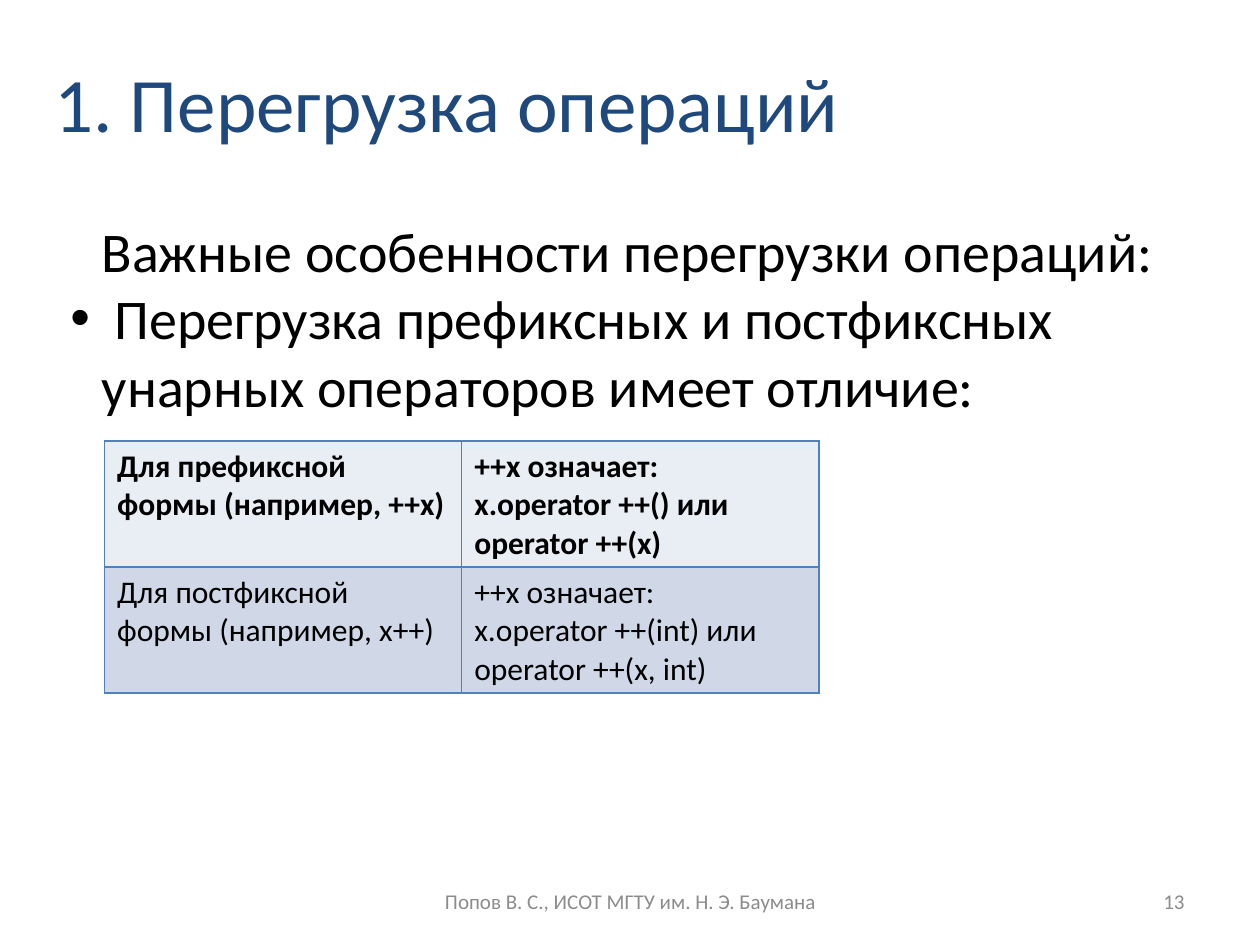
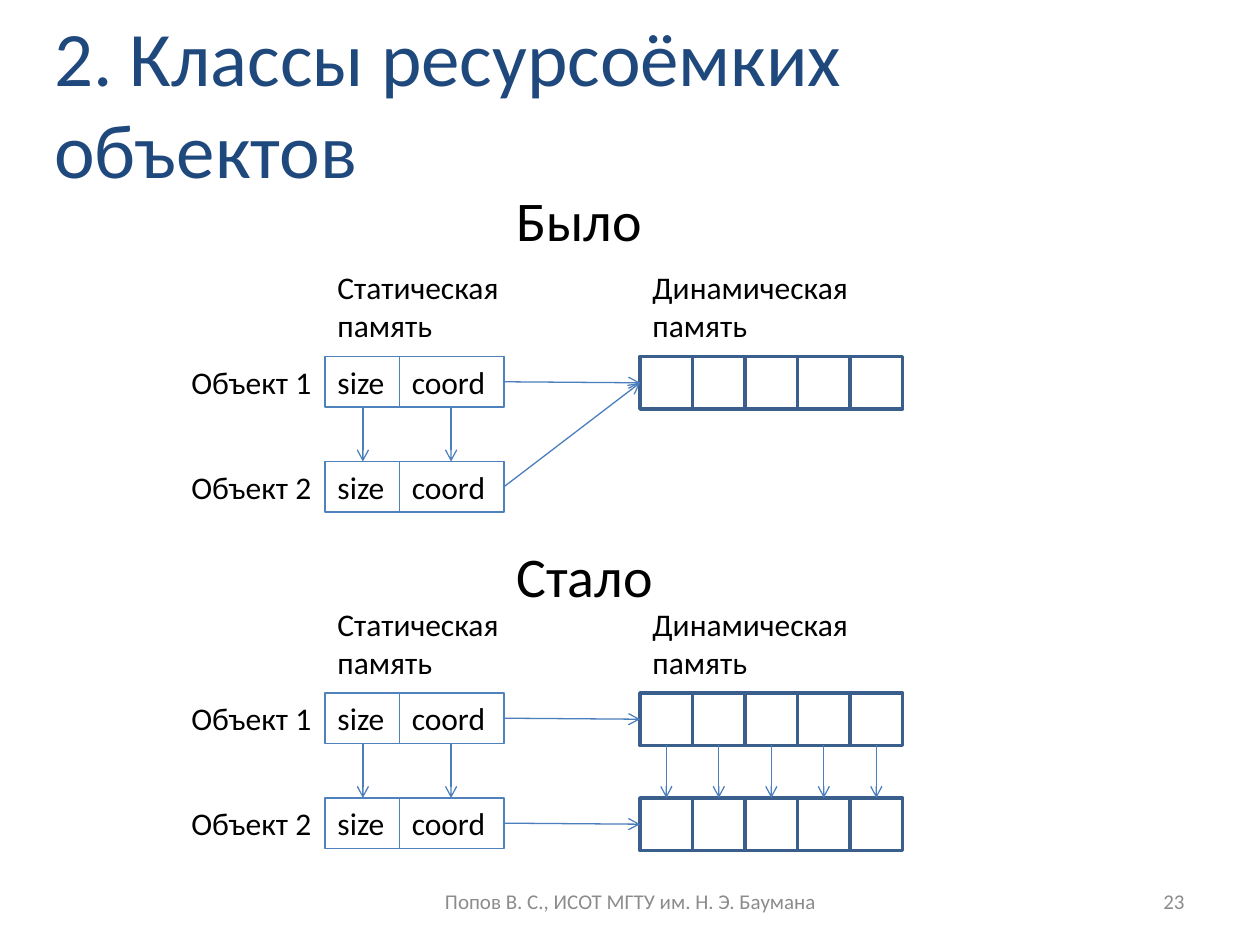
from lxml.etree import SubElement
from pptx import Presentation
from pptx.dml.color import RGBColor
from pptx.enum.shapes import MSO_CONNECTOR, MSO_SHAPE
from pptx.enum.text import MSO_ANCHOR, MSO_AUTO_SIZE, PP_ALIGN
from pptx.oxml.ns import qn
from pptx.util import Inches, Pt

# Shared style
FONT = "Calibri"
BLACK, TITLE_BLUE, FOOTER_GRAY = "000000", "1F497D", "8C8C8C"
BOX_BLUE, CELL_BLUE, ARROW_BLUE = "4F81BD", "3A5F8C", "4B7EBC"
ROW_FILLS = ("E9EDF4", "D0D8E8")
FOOTER = "Попов В. С., ИСОТ МГТУ им. Н. Э. Баумана"

# Memory diagram grid
CELL = 5 / 12
ROW_STEP = 2 * CELL
BOX_HEIGHT = 0.4
LABEL_LEFT, STATIC_LEFT, COORD_LEFT, STATIC_RIGHT = 1.42, 2.58, 3.17, 4
DYNAMIC_LEFT = 5.08
CELL_COUNT = 5


def rgb(color):
    return RGBColor.from_string(color)


def write(text_frame, lines, size=18, color=BLACK, bold=False,
          align=PP_ALIGN.LEFT):
    """Fill a text frame with one paragraph per line."""
    for index, line in enumerate(lines):
        paragraph = (text_frame.add_paragraph() if index
                     else text_frame.paragraphs[0])
        paragraph.alignment = align
        run = paragraph.add_run()
        run.text = line
        formats = {"name": FONT, "size": Pt(size), "bold": bold}
        for name, value in formats.items():
            setattr(run.font, name, value)
        run.font.color.rgb = rgb(color)


def add_text(slide, lines, left, top, width, height,
             anchor=MSO_ANCHOR.TOP, wrap=True, **style):
    box = slide.shapes.add_textbox(
        Inches(left), Inches(top), Inches(width), Inches(height))
    frame = box.text_frame
    frame.word_wrap = wrap
    frame.vertical_anchor = anchor
    write(frame, lines, **style)
    return frame


def add_box(slide, left, top, width, height, line_color, line_width, text=""):
    shape = slide.shapes.add_shape(
        MSO_SHAPE.RECTANGLE,
        Inches(left), Inches(top), Inches(width), Inches(height))
    shape.shadow.inherit = False
    shape.fill.background()
    shape.line.color.rgb = rgb(line_color)
    shape.line.width = Pt(line_width)
    if text:
        shape.text_frame.vertical_anchor = MSO_ANCHOR.TOP
        write(shape.text_frame, [text])


def add_arrow(slide, start, end):
    points = [Inches(value) for value in (*start, *end)]
    arrow = slide.shapes.add_connector(MSO_CONNECTOR.STRAIGHT, *points)
    arrow.line.color.rgb = rgb(ARROW_BLUE)
    arrow.line.width = Pt(0.75)
    SubElement(arrow.line._get_or_add_ln(), qn("a:tailEnd"), type="arrow")
    SubElement(arrow._element.spPr, qn("a:effectLst"))


def add_slide(presentation, title, number):
    """Add a slide with its title, footer and number."""
    slide = presentation.slides.add_slide(presentation.slide_layouts[5])
    placeholder = slide.shapes.title
    position = {"left": 0.33, "top": 0, "width": 8.17, "height": 1.61}
    for name, value in position.items():
        setattr(placeholder, name, Inches(value))
    frame = placeholder.text_frame
    frame.auto_size = MSO_AUTO_SIZE.NONE
    frame.vertical_anchor = MSO_ANCHOR.MIDDLE
    write(frame, [title], size=44, color=TITLE_BLUE)

    small = {"size": 12, "color": FOOTER_GRAY, "anchor": MSO_ANCHOR.MIDDLE}
    add_text(slide, [str(number)], 7.17, 6.95, 2.33, 0.4,
             align=PP_ALIGN.RIGHT, **small)
    add_text(slide, [FOOTER], 3.42, 6.95, 3.17, 0.4,
             align=PP_ALIGN.CENTER, **small)
    return slide


def indent(paragraph, bullet=False):
    """Set the left margin, with a hanging bullet if wanted."""
    properties = paragraph._p.get_or_add_pPr()
    properties.set("marL", str(Inches(0.38)))
    properties.set("indent", str(Inches(-0.25) if bullet else 0))
    if bullet:
        SubElement(properties, qn("a:buFont"), typeface="Arial")
        SubElement(properties, qn("a:buChar"), char="•")


def add_borders(cell):
    properties = cell._tc.get_or_add_tcPr()
    for side in ("lnL", "lnR", "lnT", "lnB"):
        line = SubElement(properties, qn(f"a:{side}"), w=str(Pt(1)))
        fill = SubElement(line, qn("a:solidFill"))
        SubElement(fill, qn("a:srgbClr"), val=BOX_BLUE)


def add_table(slide, rows, left, top, width, height):
    table = slide.shapes.add_table(
        len(rows), len(rows[0]),
        Inches(left), Inches(top), Inches(width), Inches(height)).table
    for row_index, row in enumerate(rows):
        for column_index, lines in enumerate(row):
            cell = table.cell(row_index, column_index)
            add_borders(cell)
            cell.fill.solid()
            cell.fill.fore_color.rgb = rgb(ROW_FILLS[row_index % 2])
            write(cell.text_frame, lines, bold=row_index == 0)


def add_object(slide, number, top):
    """Draw one object's label and its two static fields."""
    add_text(slide, [f"Объект {number}"], LABEL_LEFT, top, 1.17, BOX_HEIGHT)
    fields = (("size", STATIC_LEFT, COORD_LEFT),
              ("coord", COORD_LEFT, STATIC_RIGHT))
    for name, left, right in fields:
        add_box(slide, left, top, right - left, BOX_HEIGHT, BOX_BLUE, 0.75,
                name)


def add_array(slide, top):
    for index in range(CELL_COUNT):
        add_box(slide, DYNAMIC_LEFT + index * CELL, top, CELL, CELL,
                CELL_BLUE, 2)


def add_memory_diagram(slide, heading, heading_top, heading_width, top,
                       separate_arrays):
    """Draw two objects that share an array or own one each."""
    add_text(slide, [heading], 4, heading_top, heading_width, 0.64,
             wrap=False, size=32)
    captions = (("Статическая память", STATIC_LEFT, 1.5),
                ("Динамическая память", DYNAMIC_LEFT, 1.92))
    for caption, left, width in captions:
        add_text(slide, [caption], left, top - 0.75, width, 0.71)

    # Objects, arrays and pointers
    second_top = top + ROW_STEP
    object_tops = (top, second_top)
    array_tops = object_tops if separate_arrays else (top, top)
    for array_top in sorted(set(array_tops)):
        add_array(slide, array_top)
    for number, (object_top, array_top) in enumerate(
            zip(object_tops, array_tops), start=1):
        add_object(slide, number, object_top)
        add_arrow(slide, (STATIC_RIGHT, object_top + BOX_HEIGHT / 2),
                  (DYNAMIC_LEFT, array_top + CELL / 2))

    # Copying of fields and, with separate arrays, of elements
    for x in (2.88, 3.58):
        add_arrow(slide, (x, top + BOX_HEIGHT), (x, second_top))
    if separate_arrays:
        for index in range(CELL_COUNT):
            x = DYNAMIC_LEFT + (index + 0.5) * CELL
            add_arrow(slide, (x, top + CELL), (x, second_top))


def add_overloading_slide(presentation):
    slide = add_slide(presentation, "1. Перегрузка операций", 13)
    body = add_text(slide, [
        "Важные особенности перегрузки операций:",
        " Перегрузка префиксных и постфиксных унарных операторов "
        "имеет отличие:",
    ], 0.33, 1.67, 9.33, 2.26, size=32)
    for index, paragraph in enumerate(body.paragraphs):
        indent(paragraph, bullet=index > 0)
    add_table(slide, [
        (["Для префиксной формы (например, ++x)"],
         ["++x означает:", "x.operator ++() или", "operator ++(x)"]),
        (["Для постфиксной формы (например, x++)"],
         ["++x означает:", "x.operator ++(int) или", "operator ++(x, int)"]),
    ], 0.83, 3.5, 5.67, 2)


def add_resources_slide(presentation):
    slide = add_slide(presentation, "2. Классы ресурсоёмких объектов", 23)
    add_memory_diagram(slide, "Было", 1.42, 1.21, 2.83, False)
    add_memory_diagram(slide, "Стало", 4.25, 1.3, 5.5, True)


def main():
    presentation = Presentation()
    presentation.slide_width = Inches(10)
    presentation.slide_height = Inches(7.5)
    add_overloading_slide(presentation)
    add_resources_slide(presentation)
    presentation.save("out.pptx")


main()
